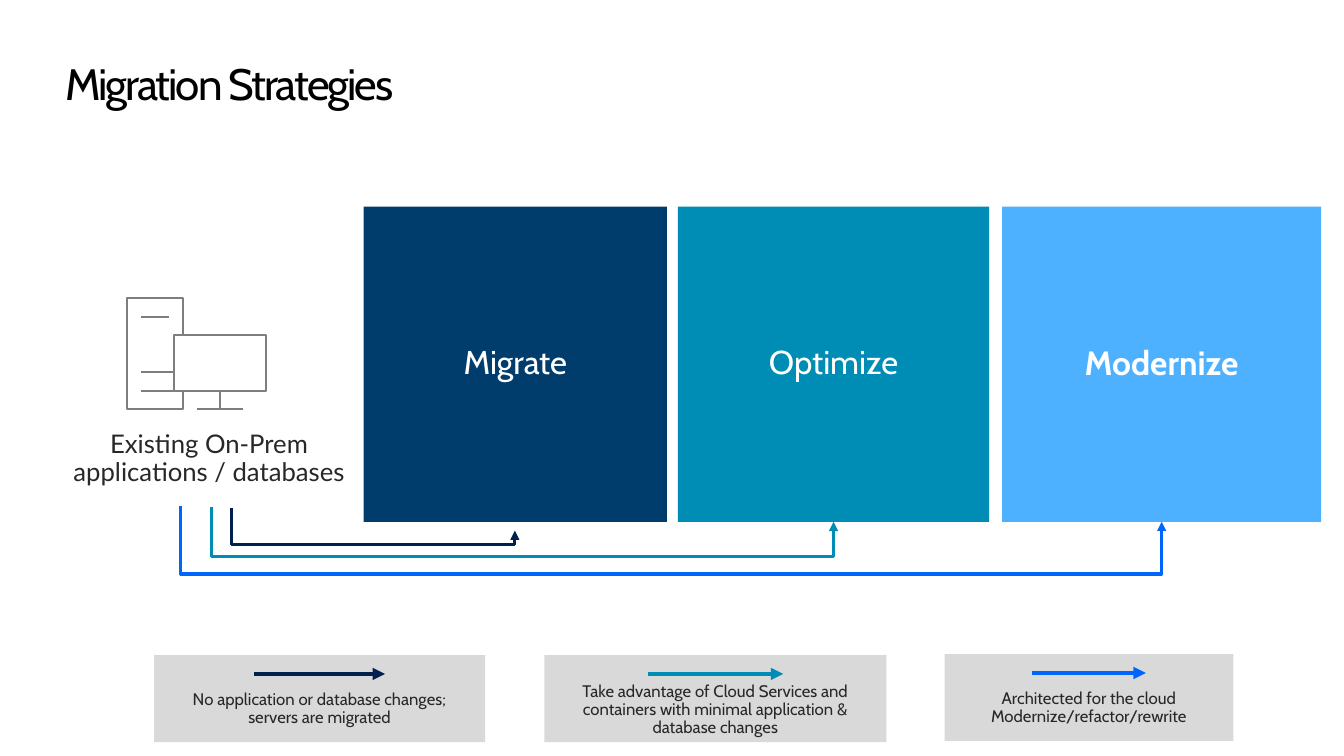
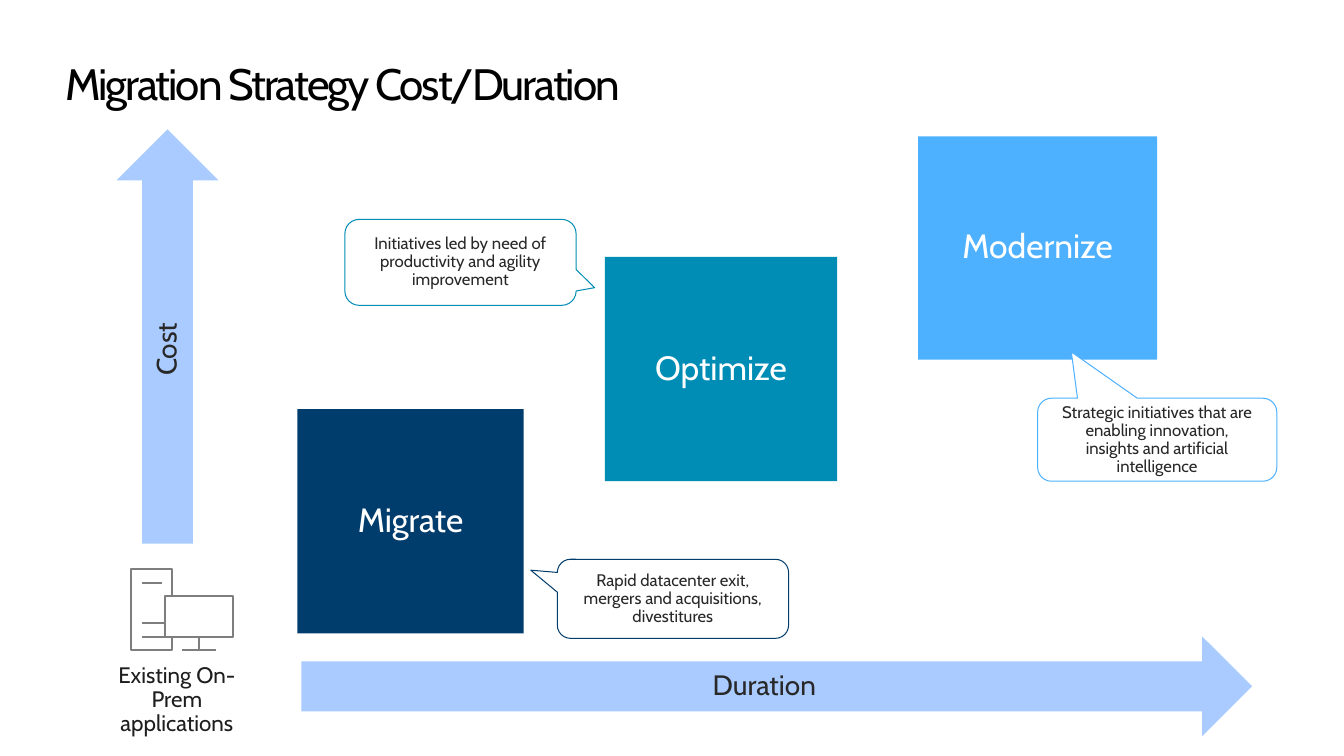
"""Build two slides on migration strategies, laid out in tenth-of-an-inch cells."""
from dataclasses import dataclass

from lxml.etree import SubElement
from pptx import Presentation
from pptx.dml.color import RGBColor as Rgb
from pptx.enum.shapes import MSO_CONNECTOR as Link, MSO_SHAPE as Form
from pptx.enum.text import MSO_ANCHOR as Anchor, PP_ALIGN as Align
from pptx.oxml.ns import qn
from pptx.shapes.autoshape import Shape
from pptx.shapes.connector import Connector
from pptx.slide import Slide
from pptx.util import Inches, Pt

COLS, ROWS = 136, 76.5
CELL = Inches(0.1)

NAVY = Rgb(0x00, 0x3C, 0x6C)
TEAL = Rgb(0x00, 0x8D, 0xB5)
SKY = Rgb(0x4E, 0xB1, 0xFF)
INK = Rgb(0x00, 0x20, 0x50)
BLUE = Rgb(0x00, 0x65, 0xFC)
PALE = Rgb(0xA9, 0xCB, 0xFF)
SILVER = Rgb(0xD9, 0xD9, 0xD9)
GRAY = Rgb(0x7E, 0x7E, 0x7E)
DARK = Rgb(0x28, 0x28, 0x28)
COAL = Rgb(0x1E, 0x1E, 0x1E)
BLACK = Rgb(0x00, 0x00, 0x00)
WHITE = Rgb(0xFF, 0xFF, 0xFF)

Inset = tuple[float, float, float, float]
FIRM: Inset = (1.9, 1.5, 1.9, 1.5)
SOFT: Inset = (2, 1.6, 2, 1.6)
LOW: Inset = (1, 1.5, 1, 0.5)
HEAD: Inset = (0, 1.8, 0, 0)

ICON_COLS, ICON_ROWS = 30, 6
ICON = (
    ((10, 2), (30, 2), (30, 5), (10, 5), (10, 2)),
    ((20, 5), (20, 6)),
    ((15, 6), (25, 6)),
    ((3, 1), (9, 1)),
    ((3, 5), (10, 5)),
    ((3, 4), (10, 4)),
    ((12, 2), (12, 0), (0, 0), (0, 6), (12, 6), (12, 5)),
)


@dataclass(frozen=True)
class Area:
    """A place on the grid."""
    left: float
    top: float
    width: float
    height: float

    def lengths(self) -> tuple[int, ...]:
        """Return the place in EMU."""
        return tuple(cells(n) for n in (self.left, self.top, self.width, self.height))


@dataclass(frozen=True)
class Style:
    """The look of a text."""
    size: float
    color: Rgb
    inset: Inset = SOFT
    anchor: Anchor = Anchor.MIDDLE
    align: Align = Align.CENTER
    face: str = "Cabin"
    bold: bool = False
    tight: int = 0


@dataclass(frozen=True)
class Tile:
    """A filled stage square."""
    text: str
    area: Area
    fill: Rgb
    style: Style


@dataclass(frozen=True)
class Route:
    """A bent arrow that drops, runs right and climbs to a tile."""
    left: float
    top: float
    floor: float
    color: Rgb
    goal: str
    right: float
    end: float
    join: bool = True


@dataclass(frozen=True)
class Key:
    """A legend card with a centred arrow."""
    text: str
    area: Area
    reach: float
    color: Rgb
    inset: Inset = FIRM


@dataclass(frozen=True)
class Note:
    """A callout with its tip as shares of its size."""
    text: str
    area: Area
    tip: tuple[float, float]
    color: Rgb


@dataclass(frozen=True)
class Axis:
    """A broad labelled arrow."""
    text: str
    area: Area
    turn: float


TITLE = Style(32, BLACK, HEAD, Anchor.TOP, Align.LEFT, tight=-150)
STAGE = Style(24, WHITE, FIRM)
STEP = Style(24.5, WHITE, FIRM)
SMALL = Style(12.2, DARK)
LABEL = Style(20.4, DARK)

TILES = (
    Tile("Migrate", Area(36.8, 20.9, 30.7, 31.9), NAVY, STAGE),
    Tile("Optimize", Area(68.6, 20.9, 31.5, 31.9), TEAL, STAGE),
    Tile("Modernize", Area(101.4, 20.9, 32.3, 31.9), SKY, Style(24.5, WHITE, FIRM, bold=True)),
)
ROUTES = (
    Route(18.3, 51.2, 58.1, BLUE, "Modernize", 117.5, 52.8),
    Route(23.4, 51.4, 55.1, INK, "Migrate", 52.1, 53.7, False),
    Route(21.4, 51.3, 56.3, TEAL, "Optimize", 84.4, 52.8),
)
KEYS = (
    Key("No application or database changes; servers are migrated",
        Area(15.6, 66.3, 33.5, 8.8), 13.2, INK),
    Key("Take advantage of Cloud Services and containers with minimal application & database changes",
        Area(55.1, 66.3, 34.6, 8.8), 13.7, TEAL, LOW),
    Key("Architected for the cloud\nModernize/refactor/rewrite",
        Area(95.6, 66.2, 29.2, 8.8), 11.5, BLUE),
)
STEPS = (
    Tile("Optimize", Area(61.2, 26, 23.5, 22.7), TEAL, STEP),
    Tile("Migrate", Area(30.1, 41.4, 22.9, 22.7), NAVY, STEP),
    Tile("Modernize", Area(92.9, 13.8, 24.2, 22.6), SKY, STEP),
)
NOTES = (
    Note("Rapid datacenter exit, mergers and acquisitions, divestitures",
         Area(56.4, 56.6, 23.4, 8), (-0.615, -0.362), NAVY),
    Note("Strategic initiatives that are enabling innovation, insights and artificial intelligence",
         Area(105, 40.3, 24.2, 8.4), (-0.359, -1.058), SKY),
    Note("Initiatives led by need of productivity and agility improvement",
         Area(34.9, 22.2, 23.4, 8.7), (0.58, 0.295), TEAL),
)
AXES = (
    Axis("Cost", Area(-4, 28.9, 41.9, 10.3), 270),
    Axis("Duration", Area(30.5, 64.4, 96.2, 10.1), 0),
)


def cells(count: float) -> int:
    """Turn grid cells into EMU."""
    return round(count * CELL)


def write(shape: Shape, text: str, style: Style) -> None:
    """Put styled text in a shape."""
    frame = shape.text_frame
    frame.text = text
    frame.word_wrap = True
    frame.vertical_anchor = style.anchor
    (frame.margin_left, frame.margin_top,
     frame.margin_right, frame.margin_bottom) = map(cells, style.inset)
    for line in frame.paragraphs:
        line.alignment = style.align
        line.line_spacing = 0.9
        for run in line.runs:
            run.font.name = style.face
            run.font.size = Pt(style.size)
            run.font.bold = style.bold
            run.font.color.rgb = style.color
            if style.tight:
                run.font._element.set("spc", str(style.tight))


def paint(shape: Shape, fill: Rgb, edge: Rgb | None = None, width: float = 0.75) -> None:
    """Set fill and outline, without shadow."""
    shape.shadow.inherit = False
    shape.fill.solid()
    shape.fill.fore_color.rgb = fill
    if edge is None:
        shape.line.fill.background()
    else:
        shape.line.color.rgb = edge
        shape.line.width = Pt(width)


def draw(slide: Slide, form: Form, area: Area, fill: Rgb, text: str, style: Style,
         edge: Rgb | None = None) -> Shape:
    """Add a preset shape with text."""
    shape = slide.shapes.add_shape(form, *area.lengths())
    paint(shape, fill, edge)
    write(shape, text, style)
    return shape


def label(slide: Slide, area: Area, text: str, style: Style) -> None:
    """Add a text box."""
    write(slide.shapes.add_textbox(*area.lengths()), text, style)


def tiles(slide: Slide, items: tuple[Tile, ...]) -> dict[str, Shape]:
    """Add stage squares and return them by text."""
    return {t.text: draw(slide, Form.RECTANGLE, t.area, t.fill, t.text, t.style) for t in items}


def arrow(slide: Slide, kind: Link, ends: tuple[float, ...], color: Rgb, width: float) -> Connector:
    """Add a connector with an arrowhead."""
    link = slide.shapes.add_connector(kind, *map(cells, ends))
    link.line.color.rgb = color
    link.line.width = Pt(width)
    SubElement(link.line._get_or_add_ln(), qn("a:tailEnd"), type="triangle")
    SubElement(link._element.spPr, qn("a:effectLst"))
    return link


def route(slide: Slide, item: Route, goal: Shape) -> None:
    """Add a bent arrow below the tiles."""
    ends = (item.left, item.top, item.right, item.end)
    link = arrow(slide, Link.ELBOW, ends, item.color, 2.25)
    if item.join:
        link.end_connect(goal, 2)
    form = link._element.spPr.find(qn("a:prstGeom"))
    form.set("prst", "bentConnector4")
    guides = form.find(qn("a:avLst"))
    if guides is None:
        guides = SubElement(form, qn("a:avLst"))
    drop = (item.floor - item.top) / (item.end - item.top)
    for name, share in (("adj1", 0), ("adj2", drop)):
        SubElement(guides, qn("a:gd"), name=name, fmla=f"val {round(share * 100000)}")


def legend(slide: Slide, key: Key) -> None:
    """Add a legend card and its arrow."""
    area = key.area
    draw(slide, Form.RECTANGLE, area, SILVER, key.text,
         Style(12.2, DARK, key.inset, Anchor.BOTTOM))
    left, top = area.left + (area.width - key.reach) / 2, area.top + 1.9
    arrow(slide, Link.STRAIGHT, (left, top, left + key.reach, top), key.color, 3)


def icon(slide: Slide, area: Area) -> None:
    """Add the computer outline."""
    left, top, width, height = area.lengths()
    scale = (width / ICON_COLS, height / ICON_ROWS)
    pen = slide.shapes.build_freeform(*ICON[0][0], scale=scale)
    for index, (start, *rest) in enumerate(ICON):
        if index:
            pen.move_to(*start)
        pen.add_line_segments(rest, close=False)
    paint(pen.convert_to_shape(left, top), WHITE, GRAY, 1.5)


def start(deck: Presentation, title: str) -> Slide:
    """Add a blank slide with its title."""
    slide = deck.slides.add_slide(deck.slide_layouts[6])
    label(slide, Area(6.6, 4.5, 122.9, 6.2), title, TITLE)
    return slide


def plan(deck: Presentation) -> None:
    """Build the strategies slide."""
    slide = start(deck, "Migration Strategies")
    goals = tiles(slide, TILES)
    for item in ROUTES:
        route(slide, item, goals[item.goal])
    for key in KEYS:
        legend(slide, key)
    label(slide, Area(5.2, 42.1, 31.9, 9), "Existing On-Prem\vapplications / databases",
          Style(18.7, DARK, anchor=Anchor.TOP, face="Lato"))
    icon(slide, Area(12.9, 30.2, 14, 11.2))


def chart(deck: Presentation) -> None:
    """Build the cost and duration slide."""
    slide = start(deck, "Migration Strategy Cost/Duration")
    tiles(slide, STEPS)
    for note in NOTES:
        shape = draw(slide, Form.ROUNDED_RECTANGULAR_CALLOUT, note.area, WHITE,
                     note.text, SMALL, note.color)
        shape.adjustments[0], shape.adjustments[1] = note.tip
    icon(slide, Area(13.3, 57.6, 10.3, 8.2))
    label(slide, Area(9.3, 65.6, 17.2, 10.8), "Existing On-Prem\vapplications",
          Style(16.3, COAL, anchor=Anchor.TOP))
    for axis in AXES:
        shape = draw(slide, Form.RIGHT_ARROW, axis.area, PALE, axis.text, LABEL)
        shape.rotation = axis.turn


def main() -> None:
    """Save the deck."""
    deck = Presentation()
    deck.slide_width, deck.slide_height = cells(COLS), cells(ROWS)
    plan(deck)
    chart(deck)
    deck.save("out.pptx")


if __name__ == "__main__":
    main()
